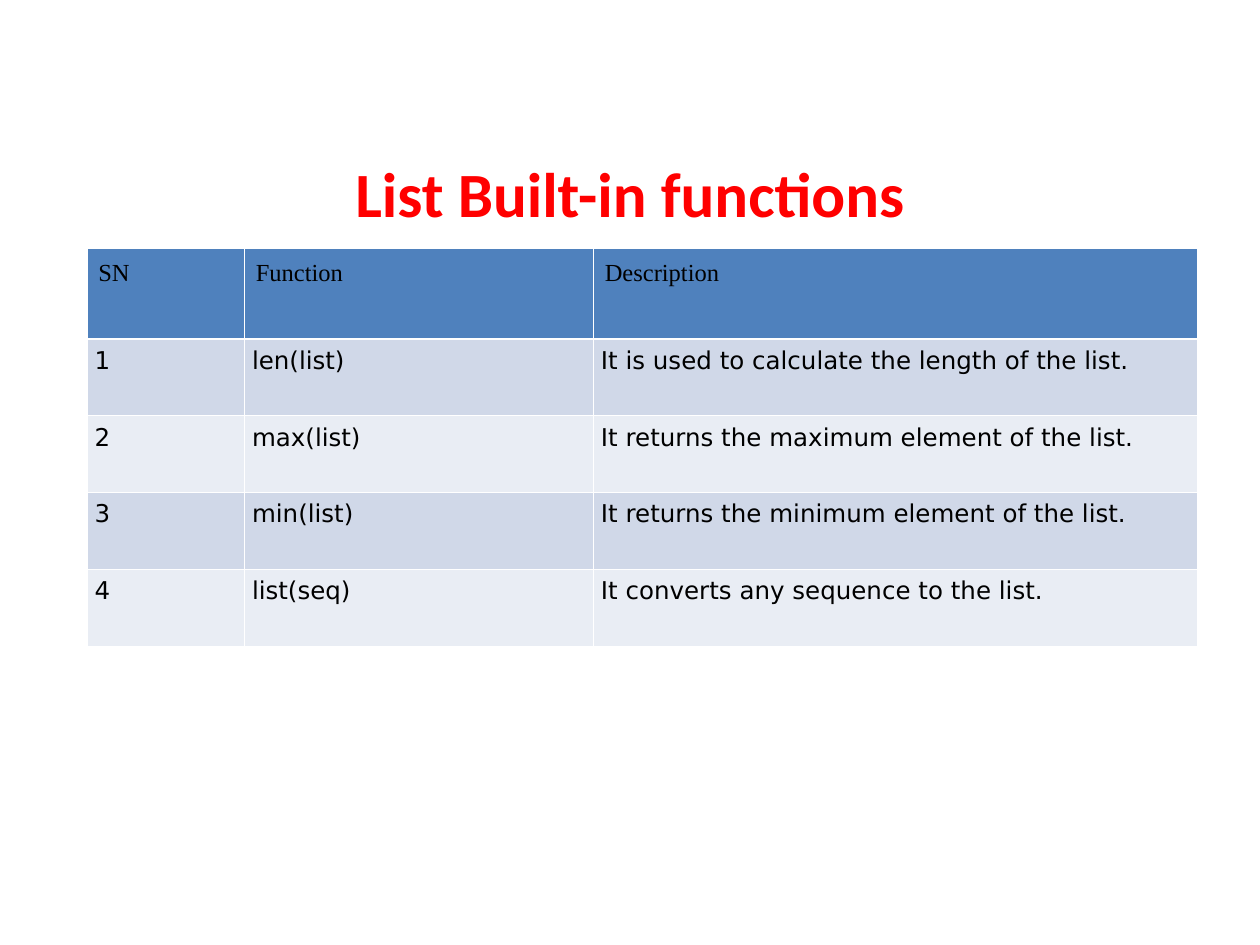
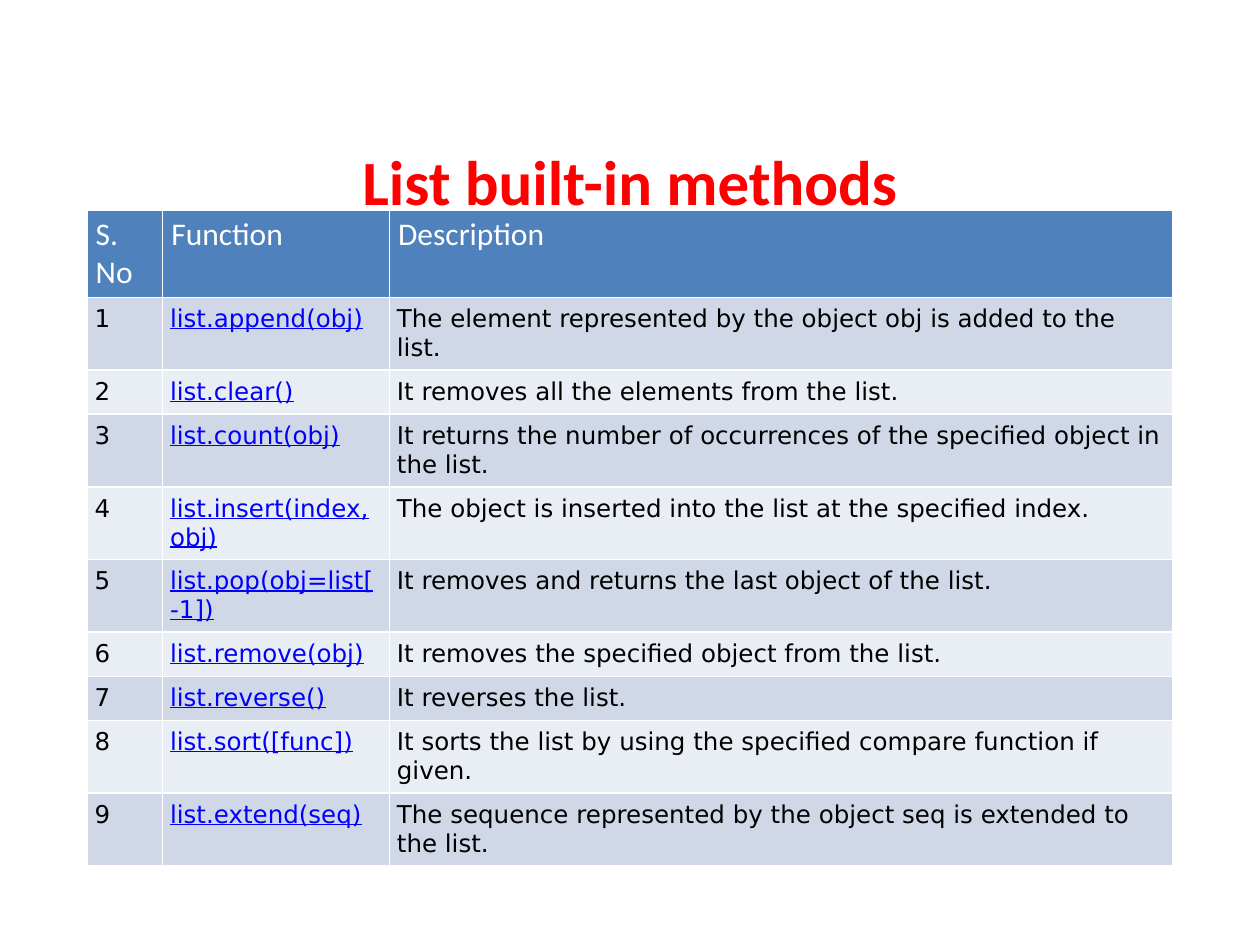
from pptx import Presentation
from pptx.dml.color import RGBColor
from pptx.enum.text import MSO_ANCHOR, MSO_AUTO_SIZE, PP_ALIGN
from pptx.util import Inches, Pt

RED = RGBColor(0xFF, 0x00, 0x00)
BLACK = RGBColor(0x00, 0x00, 0x00)
WHITE = RGBColor(0xFF, 0xFF, 0xFF)
LINK_BLUE = RGBColor(0x00, 0x00, 0xFF)
HEADER_BLUE = RGBColor(0x4F, 0x81, 0xBD)
BANDS = (RGBColor(0xD0, 0xD8, 0xE8), RGBColor(0xE9, 0xED, 0xF4))

HEADING_FONT = "Calibri"
BODY_FONT = "DejaVu Sans"
LEFT = 0.69
BODY_INSET = 0.06


def write(frame, text, font=BODY_FONT, size=14, color=BLACK, bold=False,
          underline=False, align=PP_ALIGN.LEFT):
    paragraph = frame.paragraphs[0]
    paragraph.alignment = align
    run = paragraph.add_run()
    run.text = text
    run.font.name = font
    run.font.size = Pt(size)
    run.font.color.rgb = color
    run.font.bold = bold
    run.font.underline = underline


class Deck:
    def __init__(self):
        self.presentation = Presentation()
        self.presentation.slide_width = Inches(10)
        self.presentation.slide_height = Inches(7.5)
        self.slide = None

    def add_slide(self, heading, heading_height):
        layout = self.presentation.slide_layouts[5]
        self.slide = self.presentation.slides.add_slide(layout)
        title = self.slide.shapes.title
        title.left, title.top = Inches(LEFT), Inches(1.24)
        title.width, title.height = Inches(8.62), Inches(heading_height)
        frame = title.text_frame
        frame.auto_size = MSO_AUTO_SIZE.NONE
        frame.vertical_anchor = MSO_ANCHOR.MIDDLE
        frame.margin_left = frame.margin_right = 0
        frame.margin_top = frame.margin_bottom = 0
        write(frame, heading, font=HEADING_FONT, size=36, color=RED,
              bold=True, align=PP_ALIGN.CENTER)

    def fill_cell(self, cell, text, fill, insets, **text_format):
        cell.fill.solid()
        cell.fill.fore_color.rgb = fill
        cell.margin_left = cell.margin_right = Inches(insets[0])
        cell.margin_top = cell.margin_bottom = Inches(insets[1])
        write(cell.text_frame, text, **text_format)

    def add_function_table(self, top, widths, heights, headers, entries,
                           header_insets, header_format, name_format):
        table = self.slide.shapes.add_table(
            len(heights), len(widths), Inches(LEFT), Inches(top),
            Inches(sum(widths)), Inches(sum(heights))).table
        for column, width in zip(table.columns, widths):
            column.width = Inches(width)
        for row, height in zip(table.rows, heights):
            row.height = Inches(height)
        for column, header in enumerate(headers):
            self.fill_cell(table.cell(0, column), header, HEADER_BLUE,
                           header_insets, **header_format)
        formats = ({}, name_format, {})
        for number, (name, description) in enumerate(entries, start=1):
            band = BANDS[(number - 1) % 2]
            texts = (str(number), name, description)
            for column, text in enumerate(texts):
                self.fill_cell(table.cell(number, column), text, band,
                               (BODY_INSET, BODY_INSET), **formats[column])


FUNCTIONS = [
    ("len(list)", "It is used to calculate the length of the list."),
    ("max(list)", "It returns the maximum element of the list."),
    ("min(list)", "It returns the minimum element of the list."),
    ("list(seq)", "It converts any sequence to the list."),
]

METHODS = [
    ("list.append(obj)",
     "The element represented by the object obj is added to the list."),
    ("list.clear()", "It removes all the elements from the list."),
    ("list.count(obj)",
     "It returns the number of occurrences of the specified object in the list."),
    ("list.insert(index, obj)",
     "The object is inserted into the list at the specified index."),
    ("list.pop(obj=list[-1])",
     "It removes and returns the last object of the list."),
    ("list.remove(obj)", "It removes the specified object from the list."),
    ("list.reverse()", "It reverses the list."),
    ("list.sort([func])",
     "It sorts the list by using the specified compare function if given."),
    ("list.extend(seq)",
     "The sequence represented by the object seq is extended to the list."),
]

deck = Deck()

deck.add_slide("List Built-in functions", 0.57)
deck.add_function_table(
    top=1.97, widths=(1.25, 2.77, 4.8),
    heights=[0.72] + [0.61] * len(FUNCTIONS),
    headers=("SN", "Function", "Description"), entries=FUNCTIONS,
    header_insets=(0.09, 0.09),
    header_format={"font": "Times New Roman"}, name_format={})

deck.add_slide("List built-in methods", 0.38)
deck.add_function_table(
    top=1.67, widths=(0.6, 1.8, 6.22),
    heights=[0.68, 0.35, 0.35, 0.57, 0.57, 0.57, 0.35, 0.35, 0.35, 0.57],
    headers=("S. No", "Function", "Description"), entries=METHODS,
    header_insets=(0.07, 0.04),
    header_format={"font": HEADING_FONT, "size": 18, "color": WHITE},
    name_format={"color": LINK_BLUE, "underline": True})

deck.presentation.save("out.pptx")
